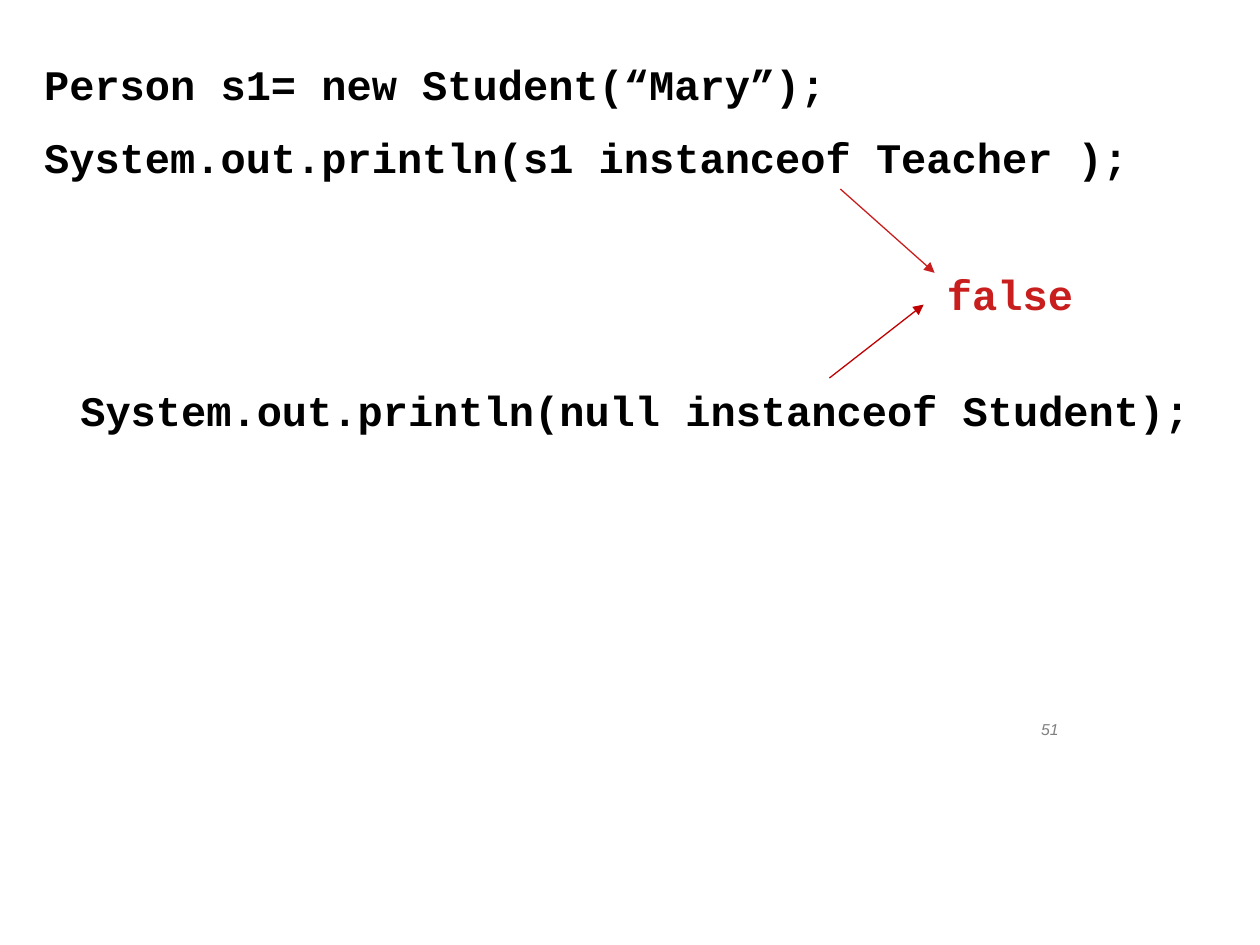
from lxml import etree
from pptx import Presentation
from pptx import util as u
from pptx.dml.color import RGBColor
from pptx.enum import shapes, text
from pptx.oxml.ns import qn

COLORS = {"code": "000000", "result": "C81E1E", "null_arrow": "C00000", "number": "808080"}


def add_text(slide, lines, left, top, width, height, *, size=24, font="Courier New",
             color="code", bold=False, italic=False, align=text.PP_ALIGN.LEFT,
             gap=0, wrap=True):
    """Add a text box (cm) with one paragraph per line."""
    box = slide.shapes.add_textbox(u.Cm(left), u.Cm(top), u.Cm(width), u.Cm(height))
    frame = box.text_frame
    frame.word_wrap = wrap
    for i, line in enumerate(lines):
        para = frame.paragraphs[0] if i == 0 else frame.add_paragraph()
        para.alignment = align
        if i:
            para.space_before = u.Pt(gap)
        run = para.add_run()
        run.text = line
        run.font.name, run.font.size = font, u.Pt(size)
        run.font.bold, run.font.italic = bold, italic
        run.font.color.rgb = RGBColor.from_string(COLORS[color])


def add_arrow(slide, start, end, color):
    """Add a thin arrow between two points (cm)."""
    arrow = slide.shapes.add_connector(
        shapes.MSO_CONNECTOR.STRAIGHT, *(u.Cm(v) for v in (*start, *end)))
    arrow.line.width = u.Pt(0.75)
    arrow.line.color.rgb = RGBColor.from_string(COLORS[color])
    etree.SubElement(arrow.line._get_or_add_ln(), qn("a:tailEnd"), type="triangle")
    etree.SubElement(arrow._element.spPr, qn("a:effectLst"))


def add_teacher_test(slide, left, top, width, height):
    add_text(slide, ["Person s1= new Student(“Mary”);",
                     "System.out.println(s1 instanceof Teacher );"],
             left, top, width, height, bold=True, gap=13)


def add_null_test(slide, left, top, width, height):
    add_text(slide, ["System.out.println(null instanceof Student);"],
             left, top, width, height, bold=True, wrap=False)


def add_result(slide, left, top, width, height):
    """Add the shared result and the arrows leading to it from both tests."""
    add_text(slide, ["false"], left, top, width, height,
             color="result", bold=True, wrap=False)
    add_arrow(slide, (left - 1.9, top - 1.48), (left, top + 0.21), "result")
    add_arrow(slide, (left - 2.12, top + 2.33), (left - 0.22, top + 0.85), "null_arrow")


def add_page_number(slide, left, top, width, height):
    add_text(slide, ["51"], left, top, width, height, size=9, font="Arial",
             color="number", italic=True, align=text.PP_ALIGN.CENTER)


def main():
    deck = Presentation()
    deck.slide_width, deck.slide_height = u.Cm(25.4), u.Cm(19.05)
    slide = deck.slides.add_slide(deck.slide_layouts[6])
    add_page_number(slide, 18.2, 14.38, 5.93, 1.32)
    add_teacher_test(slide, 0.64, 1.06, 24.13, 2.75)
    add_result(slide, 18.84, 5.29, 3.05, 1.27)
    add_null_test(slide, 1.37, 7.62, 22.86, 1.27)
    deck.save("out.pptx")


if __name__ == "__main__":
    main()
